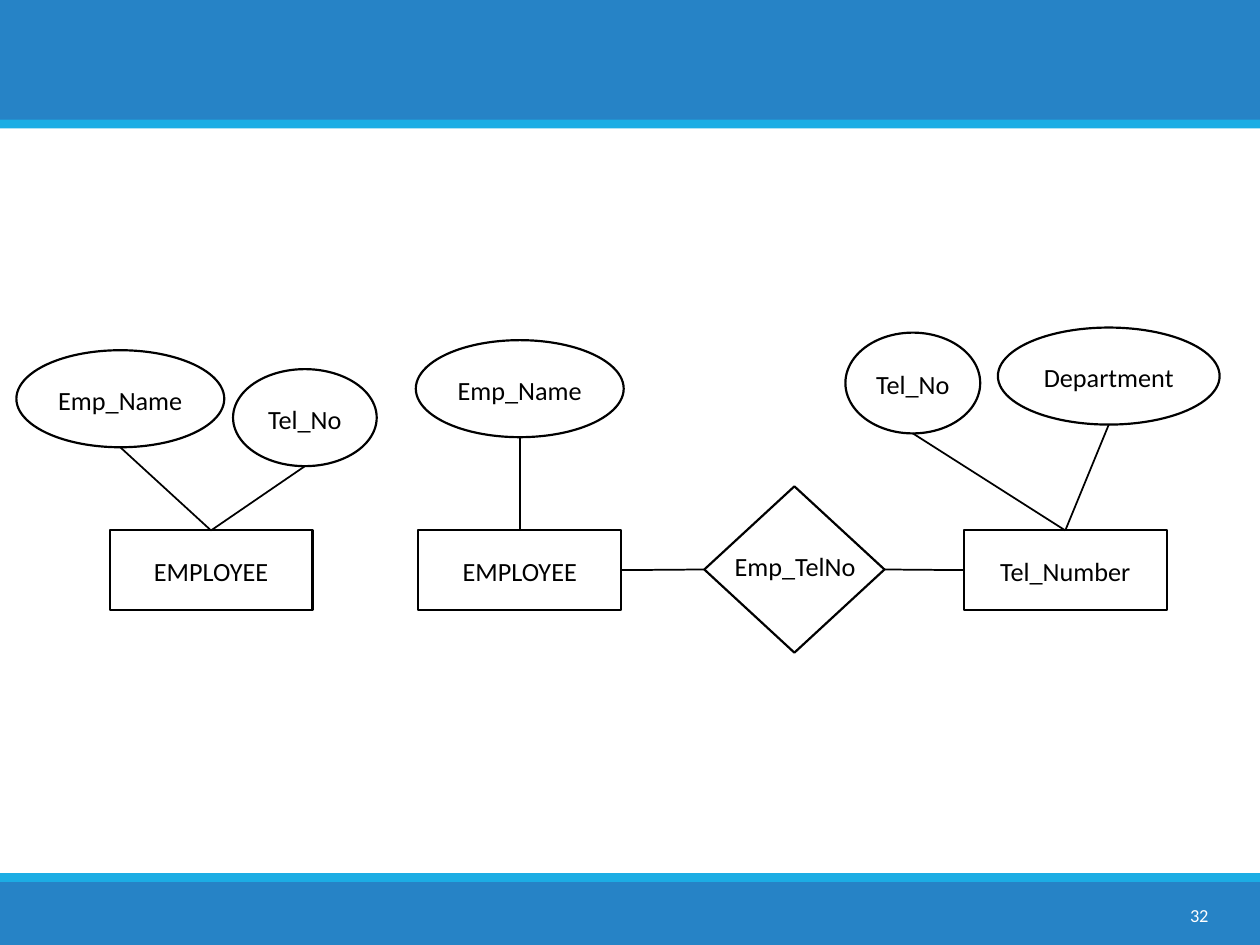
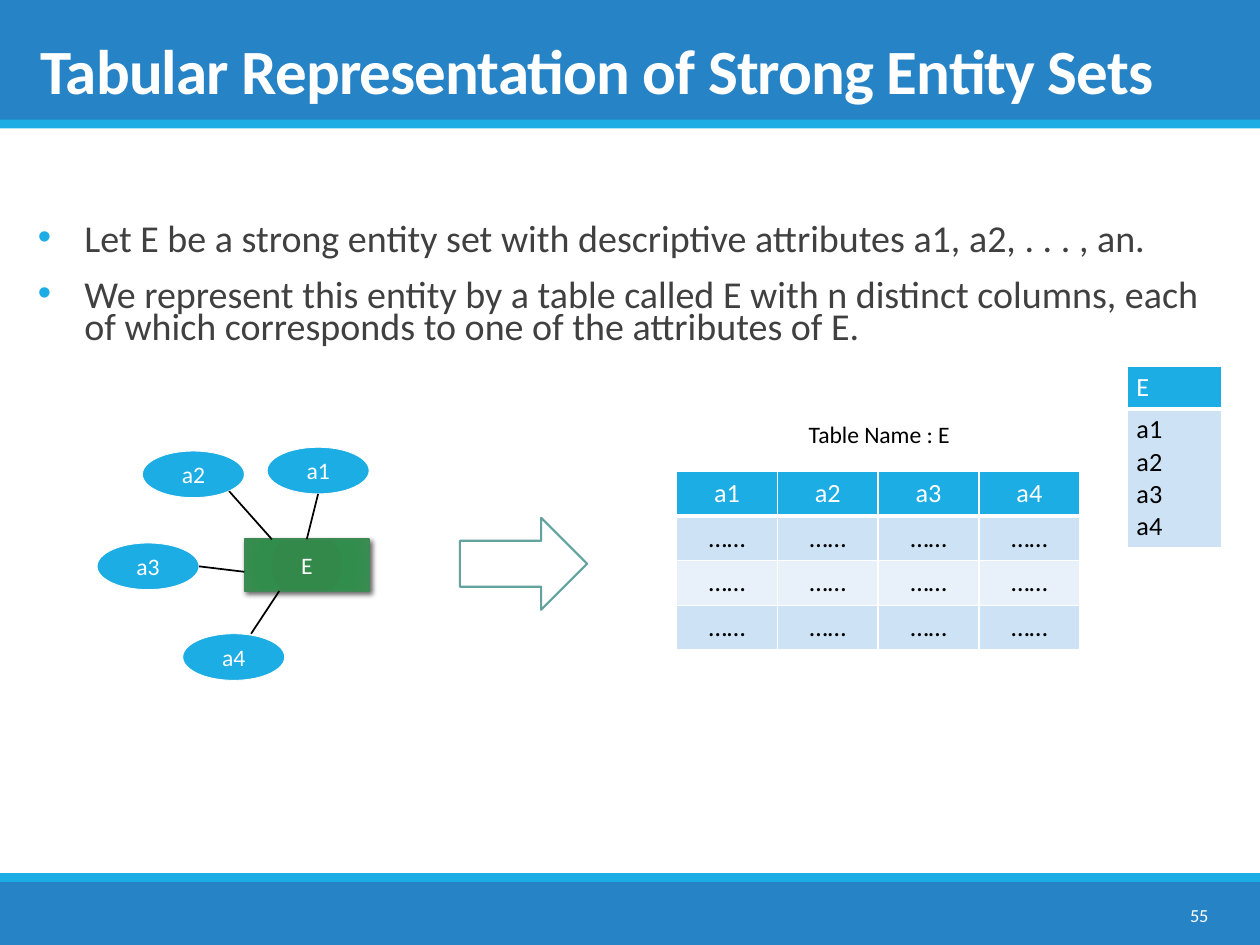
from dataclasses import dataclass, replace
from typing import Any, NamedTuple, Optional

from lxml import etree
from pptx import Presentation
from pptx import util as u
from pptx.dml.color import RGBColor
from pptx.enum import shapes, text
from pptx.oxml import parse_xml
from pptx.oxml.ns import nsdecls, qn

# Grid: 100 columns by 75 rows
SLIDE_W, SLIDE_H = u.Inches(10), u.Inches(7.5)
COL, ROW = SLIDE_W / 100, SLIDE_H / 75

LEFT, CENTER, RIGHT = text.PP_ALIGN.LEFT, text.PP_ALIGN.CENTER, text.PP_ALIGN.RIGHT
TOP, MIDDLE, BOTTOM = text.MSO_ANCHOR.TOP, text.MSO_ANCHOR.MIDDLE, text.MSO_ANCHOR.BOTTOM
RECT, OVAL = shapes.MSO_SHAPE.RECTANGLE, shapes.MSO_SHAPE.OVAL
DIAMOND, ARROW = shapes.MSO_SHAPE.DIAMOND, shapes.MSO_SHAPE.RIGHT_ARROW


@dataclass(frozen=True)
class Theme:
    font: str = "Calibri"
    blue: str = "2683C6"
    cyan: str = "1CADE4"
    white: str = "FFFFFF"
    black: str = "000000"
    grey: str = "404040"
    green_edge: str = "3E8853"
    arrow_edge: str = "62A39F"
    stripes: tuple[str, str] = ("CDE3F5", "E8F1FA")
    greens: tuple[tuple[int, str], ...] = (
        (0, "2F8949"), (34, "32894A"), (70, "318D4B"), (100, "3A8C51"))
    title_size: float = 36
    body_size: float = 21.7
    diagram_size: float = 15
    small_size: float = 13.5
    number_size: float = 10.5


THEME = Theme()


@dataclass(frozen=True)
class TextStyle:
    size: float
    color: str
    align: Any = LEFT
    anchor: Any = TOP
    inset: tuple[float, float] = (1, 0.5)
    line_spacing: Optional[float] = None
    before: float = 0
    after: float = 0
    bold: bool = False
    tracking: int = 0
    bullet: bool = False
    wrap: bool = True


@dataclass(frozen=True)
class Look:
    fill: str
    line: Optional[str] = None
    weight: float = 1
    style: Optional[TextStyle] = None


class Box(NamedTuple):
    left: float
    top: float
    width: float
    height: float

    def point(self, across: float, down: float) -> tuple[float, float]:
        return self.left + across * self.width, self.top + down * self.height


class Node(NamedTuple):
    label: str
    kind: Any
    box: Box


class Link(NamedTuple):
    start: Box
    start_at: tuple[float, float]
    end: Box
    end_at: tuple[float, float]


# Text styles and shape looks
TITLE = TextStyle(THEME.title_size, THEME.white, anchor=BOTTOM, line_spacing=0.85,
                  bold=True, tracking=-50)
BODY = TextStyle(THEME.body_size, THEME.grey, inset=(0, 0.5), line_spacing=0.7,
                 before=12, after=2, bullet=True)
NUMBER = TextStyle(THEME.number_size, THEME.white, RIGHT, MIDDLE)
ER_LABEL = TextStyle(THEME.diagram_size, THEME.black, CENTER, MIDDLE, (0.7, 0.4), 1.07, after=6)
RELATION_LABEL = replace(ER_LABEL, anchor=TOP, after=0)
NODE_LABEL = TextStyle(THEME.small_size, THEME.white, CENTER, MIDDLE)
CAPTION = TextStyle(THEME.small_size, THEME.black, wrap=False)
CELL = TextStyle(THEME.diagram_size, THEME.black, inset=(0.7, 0.4))

ER_LOOK = Look(THEME.white, THEME.black, 1.25, ER_LABEL)
ATTRIBUTE_LOOK = Look(THEME.cyan, THEME.white, 0.5, NODE_LABEL)
ENTITY_LOOK = Look(THEME.greens[0][1], THEME.green_edge, 1, NODE_LABEL)

TOP_MID, LEFT_MID, BOTTOM_MID, RIGHT_MID = (0.5, 0), (0, 0.5), (0.5, 1), (1, 0.5)


def rgb(color: str) -> RGBColor:
    return RGBColor.from_string(color)


def place(box: Box) -> tuple[int, int, int, int]:
    return (round(box.left * COL), round(box.top * ROW),
            round(box.width * COL), round(box.height * ROW))


# Text
def add_bullet(paragraph: Any) -> None:
    props = paragraph._p.get_or_add_pPr()
    props.set("marL", str(u.Inches(0.37)))
    props.set("indent", str(-u.Inches(0.37)))
    color = etree.SubElement(props, qn("a:buClr"))
    etree.SubElement(color, qn("a:srgbClr"), val=THEME.cyan)
    etree.SubElement(props, qn("a:buFont"), typeface="Arial")
    etree.SubElement(props, qn("a:buChar"), char="•")


def write(frame: Any, lines: list[str], style: TextStyle) -> None:
    for index, line in enumerate(lines):
        paragraph = frame.add_paragraph() if index else frame.paragraphs[0]
        if style.bullet:
            add_bullet(paragraph)
        paragraph.alignment = style.align
        paragraph.line_spacing = style.line_spacing
        paragraph.space_before = u.Pt(style.before if index else 0)
        paragraph.space_after = u.Pt(style.after)
        run = paragraph.add_run()
        run.text = line
        run.font.name = THEME.font
        run.font.size = u.Pt(style.size)
        run.font.bold = style.bold
        run.font.color.rgb = rgb(style.color)
        if style.tracking:
            run._r.get_or_add_rPr().set("spc", str(style.tracking))


def fill_frame(frame: Any, lines: list[str], style: TextStyle) -> None:
    frame.auto_size = text.MSO_AUTO_SIZE.NONE
    frame.word_wrap = style.wrap
    frame.vertical_anchor = style.anchor
    frame.margin_left = frame.margin_right = round(style.inset[0] * COL)
    frame.margin_top = frame.margin_bottom = round(style.inset[1] * ROW)
    write(frame, lines, style)


def add_label(slide: Any, label: str, box: Box, style: TextStyle) -> None:
    fill_frame(slide.shapes.add_textbox(*place(box)).text_frame, [label], style)


def fill_placeholder(holder: Any, box: Box, lines: list[str], style: TextStyle) -> None:
    holder.left, holder.top, holder.width, holder.height = place(box)
    fill_frame(holder.text_frame, lines, style)


# Shapes and links
def add_node(tree: Any, node: Node, look: Look) -> Any:
    shape = tree.add_shape(node.kind, *place(node.box))
    shape.shadow.inherit = False
    shape.fill.solid()
    shape.fill.fore_color.rgb = rgb(look.fill)
    if look.line:
        shape.line.color.rgb = rgb(look.line)
        shape.line.width = u.Pt(look.weight)
    else:
        shape.line.fill.background()
    if node.label and look.style:
        fill_frame(shape.text_frame, [node.label], look.style)
    return shape


def add_link(tree: Any, link: Link) -> None:
    (x1, y1), (x2, y2) = link.start.point(*link.start_at), link.end.point(*link.end_at)
    line = tree.add_connector(shapes.MSO_CONNECTOR.STRAIGHT, round(x1 * COL), round(y1 * ROW),
                              round(x2 * COL), round(y2 * ROW))
    line.line.color.rgb = rgb(THEME.black)
    line.line.width = u.Pt(1)
    etree.SubElement(line._element.spPr, qn("a:effectLst"))


def shade_entity(shape: Any) -> None:
    """Give the entity its green gradient and soft shadow."""
    stops = "".join(f'<a:gs pos="{at * 1000}"><a:srgbClr val="{color}"/></a:gs>'
                    for at, color in THEME.greens)
    gradient = parse_xml(
        f'<a:gradFill {nsdecls("a")} rotWithShape="1"><a:gsLst>{stops}</a:gsLst>'
        '<a:path path="circle"><a:fillToRect l="100000" t="100000" r="100000" b="100000"/>'
        '</a:path></a:gradFill>')
    shadow = parse_xml(
        f'<a:outerShdw {nsdecls("a")} blurRad="{u.Pt(3)}" dist="{u.Pt(2)}" dir="2700000" '
        'algn="tl" rotWithShape="0"><a:srgbClr val="000000"><a:alpha val="60000"/></a:srgbClr>'
        '</a:outerShdw>')
    props = shape._element.spPr
    props.replace(props.find(qn("a:solidFill")), gradient)
    props.find(qn("a:effectLst")).append(shadow)


# Tables
def add_borders(cell: Any, bottom: float) -> None:
    props = cell._tc.get_or_add_tcPr()
    for side, weight in (("L", 1), ("R", 1), ("T", 1), ("B", bottom)):
        line = etree.SubElement(props, qn(f"a:ln{side}"), w=str(u.Pt(weight)))
        solid = etree.SubElement(line, qn("a:solidFill"))
        etree.SubElement(solid, qn("a:srgbClr"), val=THEME.white)


def add_grid(slide: Any, box: Box, rows: list[list[list[str]]], heights: list[float],
             style: TextStyle) -> None:
    table = slide.shapes.add_table(len(rows), len(rows[0]), *place(box)).table
    for r, (row, height) in enumerate(zip(rows, heights)):
        table.rows[r].height = round(height * ROW)
        for c, lines in enumerate(row):
            cell = table.cell(r, c)
            add_borders(cell, 1 if r else 3)
            cell.fill.solid()
            cell.fill.fore_color.rgb = rgb(THEME.stripes[(r - 1) % 2] if r else THEME.cyan)
            cell.vertical_anchor = style.anchor
            cell.margin_left = cell.margin_right = round(style.inset[0] * COL)
            cell.margin_top = cell.margin_bottom = round(style.inset[1] * ROW)
            write(cell.text_frame, lines, style if r else replace(style, color=THEME.white))


# Shared parts
def add_master_bands(prs: Any, slide: Any) -> None:
    bands = [(0, 9.6, THEME.blue), (70, 5, THEME.blue),
             (69.3, 0.7, THEME.cyan), (9.5, 0.7, THEME.cyan)]
    master_tree = prs.slide_master.shapes.element
    for index, (top, height, color) in enumerate(bands):
        band = add_node(slide.shapes, Node("", RECT, Box(0, top, 100, height)), Look(color))
        band.element.nvSpPr.cNvPr.set("id", str(100 + index))
        master_tree.insert(2 + index, band.element)


def add_number(slide: Any, number: int) -> None:
    add_label(slide, str(number), Box(86.1, 70.6, 10.8, 4), NUMBER)


# Slide 32: telephone as an attribute or as an entity
def build_telephone_slide(slide: Any) -> None:
    employee, employee_with_phone, phone = (Box(x, 42.1, 16.1, 6.3) for x in (8.7, 33.2, 76.5))
    name, name_with_phone = Box(1.3, 27.8, 16.5, 7.7), Box(33, 27, 16.5, 7.7)
    tel_no, phone_tel_no = Box(18.5, 29.3, 11.4, 7.7), Box(67.1, 26.4, 10.7, 8)
    department, relation = Box(79.2, 26, 17.6, 7.7), Box(55.9, 38.6, 14.3, 13.2)
    for node in (Node("EMPLOYEE", RECT, employee), Node("EMPLOYEE", RECT, employee_with_phone),
                 Node("Tel_Number", RECT, phone), Node("Emp_Name", OVAL, name),
                 Node("Emp_Name", OVAL, name_with_phone), Node("Tel_No", OVAL, tel_no),
                 Node("Tel_No", OVAL, phone_tel_no), Node("Department", OVAL, department),
                 Node("", DIAMOND, relation)):
        add_node(slide.shapes, node, ER_LOOK)
    add_label(slide, "Emp_TelNo", Box(57.3, 43.1, 11.6, 4.3), RELATION_LABEL)
    for attribute, entity in ((name, employee), (tel_no, employee),
                              (name_with_phone, employee_with_phone),
                              (phone_tel_no, phone), (department, phone)):
        add_link(slide.shapes, Link(attribute, BOTTOM_MID, entity, TOP_MID))
    for before, after in ((employee_with_phone, relation), (relation, phone)):
        add_link(slide.shapes, Link(before, RIGHT_MID, after, LEFT_MID))


# Slide 55: entity set turned into a table
def build_table_slide(slide: Any) -> None:
    fill_placeholder(slide.shapes.title, Box(2.2, 0.7, 95.3, 8.3),
                     ["Tabular Representation of Strong Entity Sets"], TITLE)
    fill_placeholder(slide.placeholders[1], Box(3, 17.5, 93.9, 12.4), [
        "Let E be a strong entity set with descriptive attributes a1, a2, . . . , an.",
        "We represent this entity by a table called E with n distinct columns, each of which "
        "corresponds to one of the attributes of E."], BODY)

    names = ["a1", "a2", "a3", "a4"]
    diagram = slide.shapes.add_group_shape().shapes
    entity = Box(19.4, 42.8, 9.9, 4.1)
    shade_entity(add_node(diagram, Node("E", RECT, entity), ENTITY_LOOK))
    corners = [(21.2, 35.5), (11.3, 35.8), (7.7, 43.1), (14.5, 50.3)]
    ends = [(BOTTOM_MID, TOP_MID), ((0.85, 0.86), (0.22, 0)),
            (RIGHT_MID, (0, 0.63)), ((0.67, 0), (0.28, 1))]
    for name, corner, (attribute_at, entity_at) in zip(names, corners, ends):
        attribute = Box(*corner, 8.1, 3.7)
        add_node(diagram, Node(name, OVAL, attribute), ATTRIBUTE_LOOK)
        add_link(diagram, Link(attribute, attribute_at, entity, entity_at))

    add_node(slide.shapes, Node("", ARROW, Box(36.5, 41.1, 10.1, 7.3)),
             Look(THEME.white, THEME.arrow_edge, 1.25))
    add_grid(slide, Box(53.7, 37.4, 32, 14.2),
             [[[name] for name in names]] + [[["……"]] * 4] * 3, [3.55] * 4,
             replace(CELL, align=CENTER, anchor=MIDDLE))
    add_label(slide, "Table Name : E", Box(63.2, 32.8, 13.4, 3.3), CAPTION)
    add_grid(slide, Box(89.5, 29.1, 7.5, 14), [[["E"]], [names]], [3.2, 10.8], CELL)


def main() -> None:
    prs = Presentation()
    prs.slide_width, prs.slide_height = SLIDE_W, SLIDE_H
    blank, title_and_body = prs.slide_layouts[6], prs.slide_layouts[1]
    for number, layout, build in ((32, blank, build_telephone_slide),
                                  (55, title_and_body, build_table_slide)):
        slide = prs.slides.add_slide(layout)
        if len(prs.slides) == 1:
            add_master_bands(prs, slide)
        build(slide)
        add_number(slide, number)
    prs.save("out.pptx")


if __name__ == "__main__":
    main()
